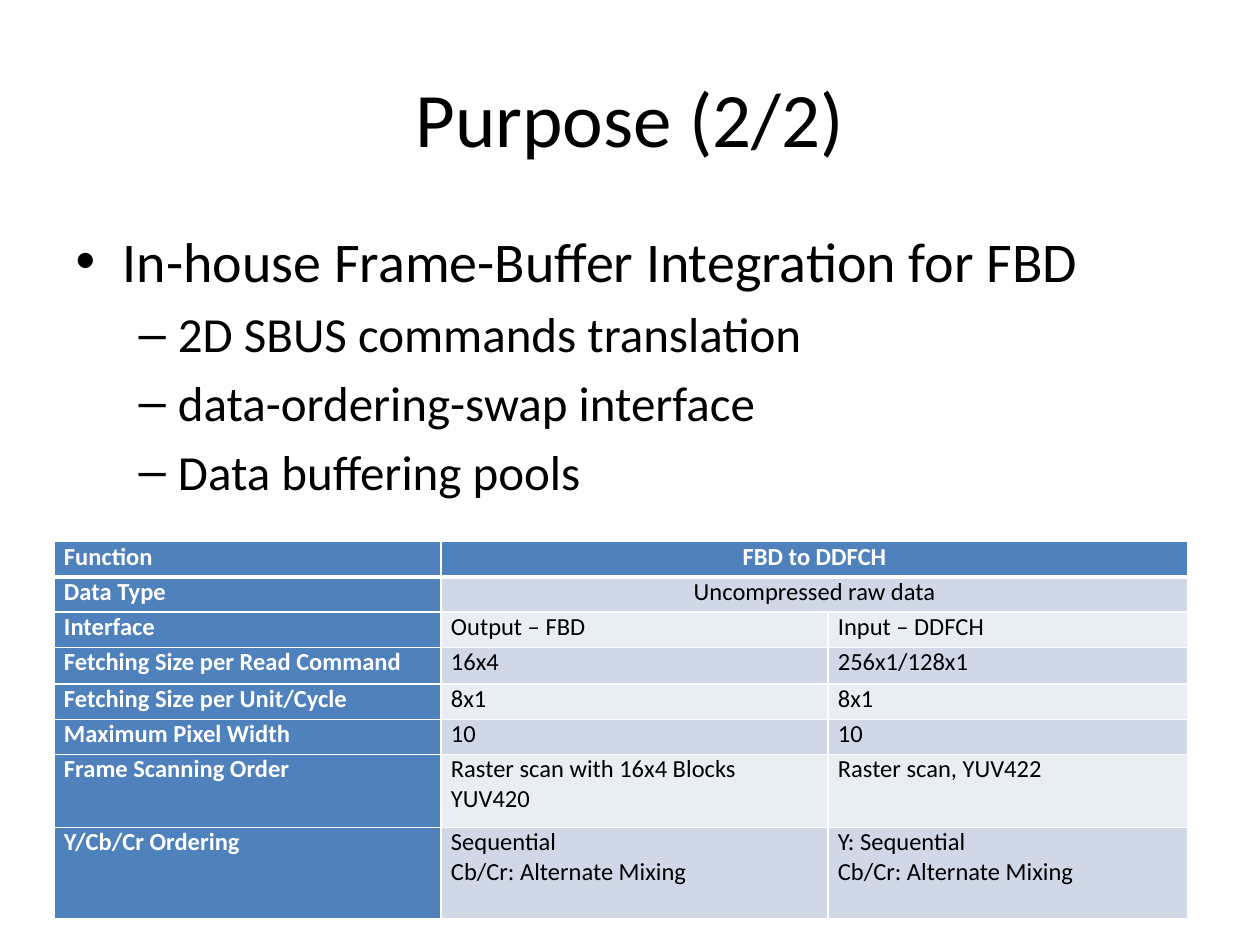
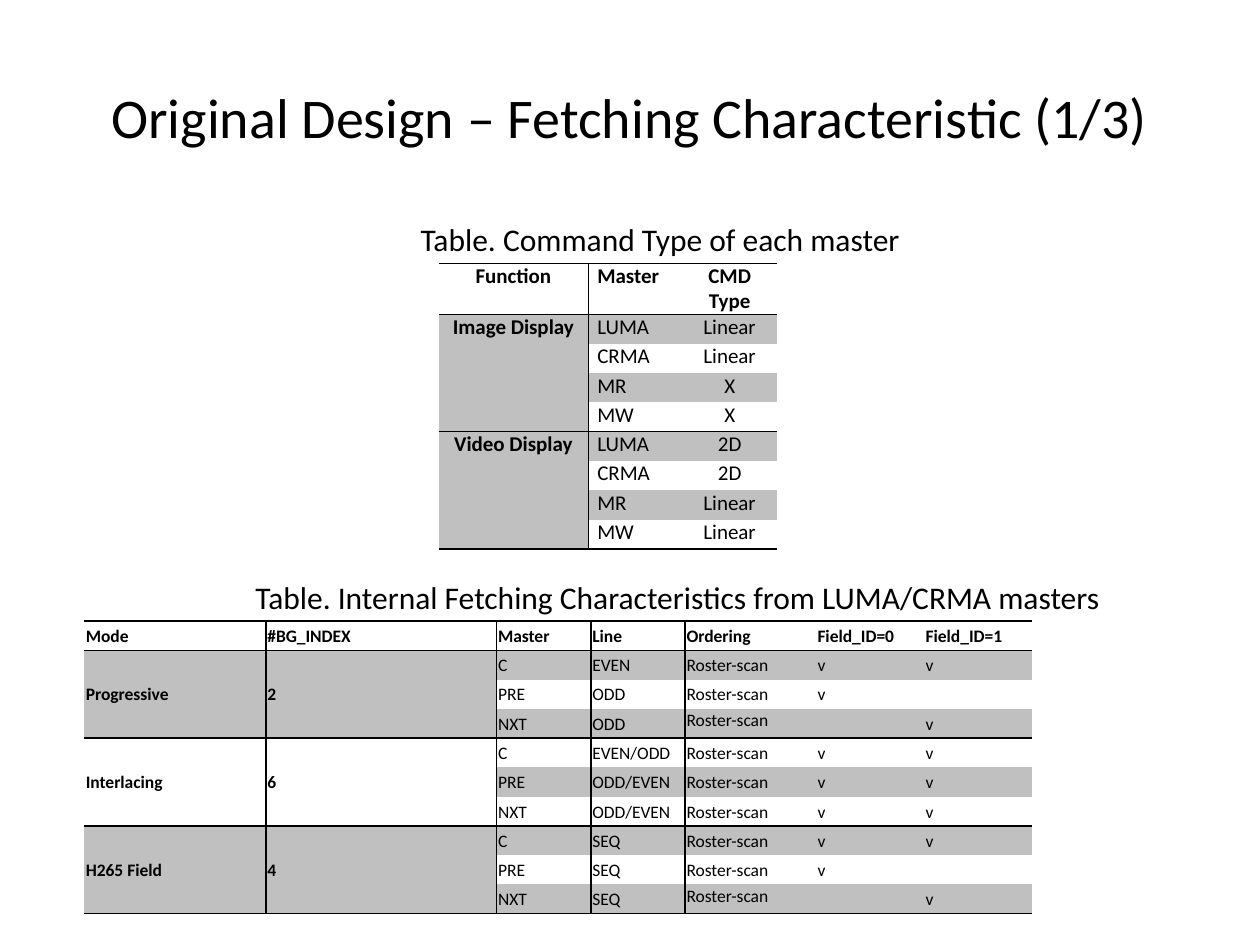
from itertools import product

from lxml.etree import SubElement
from pptx import Presentation
from pptx.dml.color import RGBColor
from pptx.enum.text import MSO_ANCHOR, MSO_AUTO_SIZE, PP_ALIGN
from pptx.oxml.ns import qn
from pptx.util import Cm, Pt

FONT = "Calibri"
BLACK, WHITE, GREY = "000000", "FFFFFF", "C0C0C0"
BLUE, BLUE_TINT, PALE_TINT = "4F81BD", "D0D8E8", "E9EDF4"
TITLE_ONLY, TITLE_AND_CONTENT = 5, 1

PURPOSE = [
    (0, "In-house Frame-Buffer Integration for FBD"),
    (1, "2D SBUS commands translation"),
    (1, "data-ordering-swap interface"),
    (1, "Data buffering pools"),
]
INTEGRATION = [
    ("Function", "FBD to DDFCH", ""),
    ("Data Type", "Uncompressed raw data", ""),
    ("Interface", "Output – FBD", "Input – DDFCH"),
    ("Fetching Size per Read Command", "16x4", "256x1/128x1"),
    ("Fetching Size per Unit/Cycle", "8x1", "8x1"),
    ("Maximum Pixel Width", "10", "10"),
    ("Frame Scanning Order", "Raster scan with 16x4 Blocks\nYUV420", "Raster scan, YUV422"),
    ("Y/Cb/Cr Ordering", "Sequential\nCb/Cr: Alternate Mixing",
     "Y: Sequential\nCb/Cr: Alternate Mixing"),
]
COMMAND_TYPES = [
    ("Function", "Master", "CMD Type"),
    ("Image Display", "LUMA", "Linear"),
    ("", "CRMA", "Linear"),
    ("", "MR", "X"),
    ("", "MW", "X"),
    ("Video Display", "LUMA", "2D"),
    ("", "CRMA", "2D"),
    ("", "MR", "Linear"),
    ("", "MW", "Linear"),
]
SCAN = "Roster-scan"
FETCHING = [
    ("Mode", "#BG_INDEX", "Master", "Line", "Ordering", "Field_ID=0", "Field_ID=1"),
    ("Progressive", "2", "C", "EVEN", SCAN, "v", "v"),
    ("", "", "PRE", "ODD", SCAN, "v", ""),
    ("", "", "NXT", "ODD", SCAN, "", "v"),
    ("Interlacing", "6", "C", "EVEN/ODD", SCAN, "v", "v"),
    ("", "", "PRE", "ODD/EVEN", SCAN, "v", "v"),
    ("", "", "NXT", "ODD/EVEN", SCAN, "v", "v"),
    ("H265 Field", "4", "C", "SEQ", SCAN, "v", "v"),
    ("", "", "PRE", "SEQ", SCAN, "v", ""),
    ("", "", "NXT", "SEQ", SCAN, "", "v"),
]


def rgb(hex_code):
    return RGBColor.from_string(hex_code)


def set_font(paragraph, size, color=BLACK, bold=False):
    font = paragraph.font
    font.name, font.size, font.bold = FONT, Pt(size), bold
    font.color.rgb = rgb(color)


def add_titled_slide(deck, layout, title, size):
    slide = deck.slides.add_slide(deck.slide_layouts[layout])
    slide.shapes.title.text = title
    set_font(slide.shapes.title.text_frame.paragraphs[0], size)
    return slide


def add_caption(slide, text, left, top, width):
    box = slide.shapes.add_textbox(Cm(left), Cm(top), Cm(width), Cm(1.02))
    frame = box.text_frame
    frame.word_wrap = False
    frame.auto_size = MSO_AUTO_SIZE.SHAPE_TO_FIT_TEXT
    frame.text = text
    set_font(frame.paragraphs[0], 18)


def add_grid(slide, rows, left, top, widths, heights, spans=()):
    """Add a plain table; spans are (row, column, last row, last column)."""
    table = slide.shapes.add_table(len(rows), len(widths), Cm(left), Cm(top),
                                   Cm(sum(widths)), Cm(sum(heights))).table
    table.first_row = table.horz_banding = False
    for column, width in zip(table.columns, widths):
        column.width = Cm(width)
    for row, height in zip(table.rows, heights):
        row.height = Cm(height)
    for r, c, last_r, last_c in spans:
        table.cell(r, c).merge(table.cell(last_r, last_c))
    for r, texts in enumerate(rows):
        for c, text in enumerate(texts):
            table.cell(r, c).text = text
    return table


def cells_of(table):
    for r, c in product(range(len(table.rows)), range(len(table.columns))):
        yield r, c, table.cell(r, c)


def draw_rules(table, color, row_edges, column_edges):
    """Rule the given edges (edge number: points) and clear all others."""
    for r, c, cell in cells_of(table):
        properties = cell._tc.get_or_add_tcPr()
        below = r + (cell.span_height if cell.is_merge_origin else 1)
        beside = c + (cell.span_width if cell.is_merge_origin else 1)
        for tag, edges, edge in (("a:lnL", column_edges, c), ("a:lnR", column_edges, beside),
                                 ("a:lnT", row_edges, r), ("a:lnB", row_edges, below)):
            points = edges.get(edge, 0)
            line = SubElement(properties, qn(tag), w=str(Pt(points)))
            if points:
                SubElement(SubElement(line, qn("a:solidFill")), qn("a:srgbClr"), val=color)
            else:
                SubElement(line, qn("a:noFill"))


def style_cell(cell, size, align, fill=None, color=BLACK, bold=False,
               side=0.18, top=0, anchor=MSO_ANCHOR.TOP):
    cell.margin_left = cell.margin_right = Cm(side)
    cell.margin_top, cell.margin_bottom = Cm(top), 0
    cell.vertical_anchor = anchor
    if fill:
        cell.fill.solid()
        cell.fill.fore_color.rgb = rgb(fill)
    else:
        cell.fill.background()
    for paragraph in cell.text_frame.paragraphs:
        paragraph.alignment = align
        set_font(paragraph, size, color, bold)
        if not paragraph.text:
            SubElement(paragraph._p, qn("a:endParaRPr"), sz=str(size * 100))


def add_integration_table(slide, left, top):
    heights = [0.71] * 3 + [0.74] + [0.71] * 2 + [1.47, 1.85]
    table = add_grid(slide, INTEGRATION, left, top, [7.8, 7.8, 7.26], heights,
                     [(r, 1, r, 2) for r in (0, 1)])
    row_edges = dict.fromkeys(range(len(INTEGRATION) + 1), 1) | {1: 3}
    draw_rules(table, WHITE, row_edges, dict.fromkeys(range(4), 1))
    for r, c, cell in cells_of(table):
        heading = r == 0 or c == 0
        fill = BLUE if heading else BLUE_TINT if r % 2 else PALE_TINT
        style_cell(cell, 14, PP_ALIGN.CENTER if r < 2 and c else PP_ALIGN.LEFT, fill,
                   WHITE if heading else BLACK, heading, side=0.2)


def add_command_table(slide, left, top):
    table = add_grid(slide, COMMAND_TYPES, left, top, [3.02, 1.9, 1.9],
                     [1.03] + [0.59] * 8, [(r, 0, r + 3, 0) for r in (1, 5)])
    draw_rules(table, BLACK, dict.fromkeys((0, 1, 5, 9), 1), {1: 1})
    for r, c, cell in cells_of(table):
        style_cell(cell, 12, PP_ALIGN.LEFT if c == 1 else PP_ALIGN.CENTER,
                   GREY if r % 2 else None, bold=r == 0 or c == 0)


def add_fetching_table(slide, left, top):
    table = add_grid(slide, FETCHING, left, top, [3.66, 4.65, 1.9, 1.9, 2.64, 2.18, 2.18],
                     [0.59] * 10, [(r, c, r + 2, c) for r in (1, 4, 7) for c in (0, 1)])
    draw_rules(table, BLACK, dict.fromkeys((0, 1, 4, 7, 10), 1), dict.fromkeys(range(1, 5), 1))
    for r, c, cell in cells_of(table):
        style_cell(cell, 10, PP_ALIGN.JUSTIFY, GREY if r % 2 else None, bold=r == 0 or c < 2,
                   side=0.03, top=0.03, anchor=MSO_ANCHOR.MIDDLE)
    for r in (3, 9):
        table.cell(r, 4).vertical_anchor = MSO_ANCHOR.TOP


def add_purpose_slide(deck):
    slide = add_titled_slide(deck, TITLE_AND_CONTENT, "Purpose (2/2)", 44)
    frame = slide.placeholders[1].text_frame
    frame.text = "\n".join(text for _, text in PURPOSE)
    for paragraph, (level, _) in zip(frame.paragraphs, PURPOSE):
        paragraph.level = level
        set_font(paragraph, 28 if level else 32)
    add_integration_table(slide, 1.09, 10.92)


def add_fetching_slide(deck):
    slide = add_titled_slide(deck, TITLE_ONLY, "Original Design – Fetching Characteristic (1/3)", 32)
    add_fetching_table(slide, 1.7, 12.52)
    add_command_table(slide, 8.84, 5.31)
    add_caption(slide, "Table. Command Type of each master", 8.23, 4.32, 10.29)
    add_caption(slide, "Table. Internal Fetching Characteristics from LUMA/CRMA masters",
                4.9, 11.53, 17.73)


def main():
    deck = Presentation()
    deck.slide_width, deck.slide_height = Cm(25.4), Cm(19.05)
    add_purpose_slide(deck)
    add_fetching_slide(deck)
    deck.save("out.pptx")


if __name__ == "__main__":
    main()
